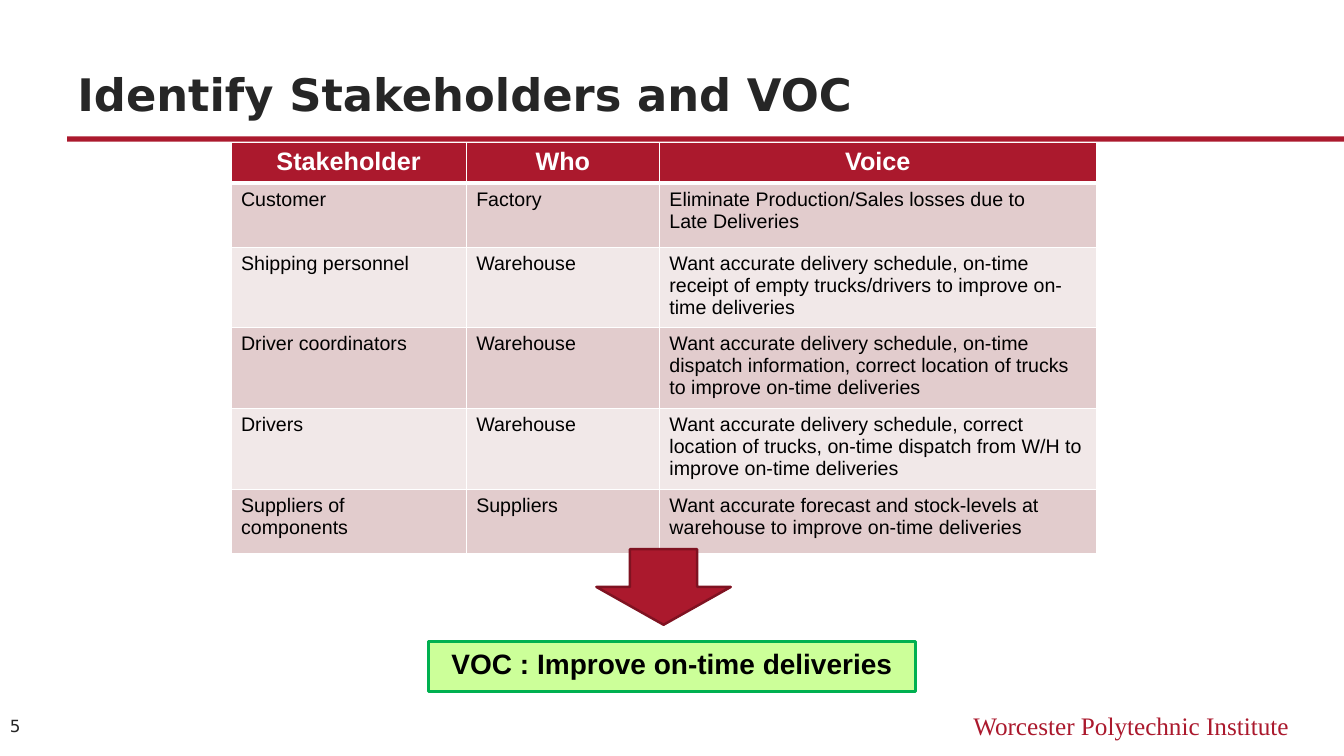
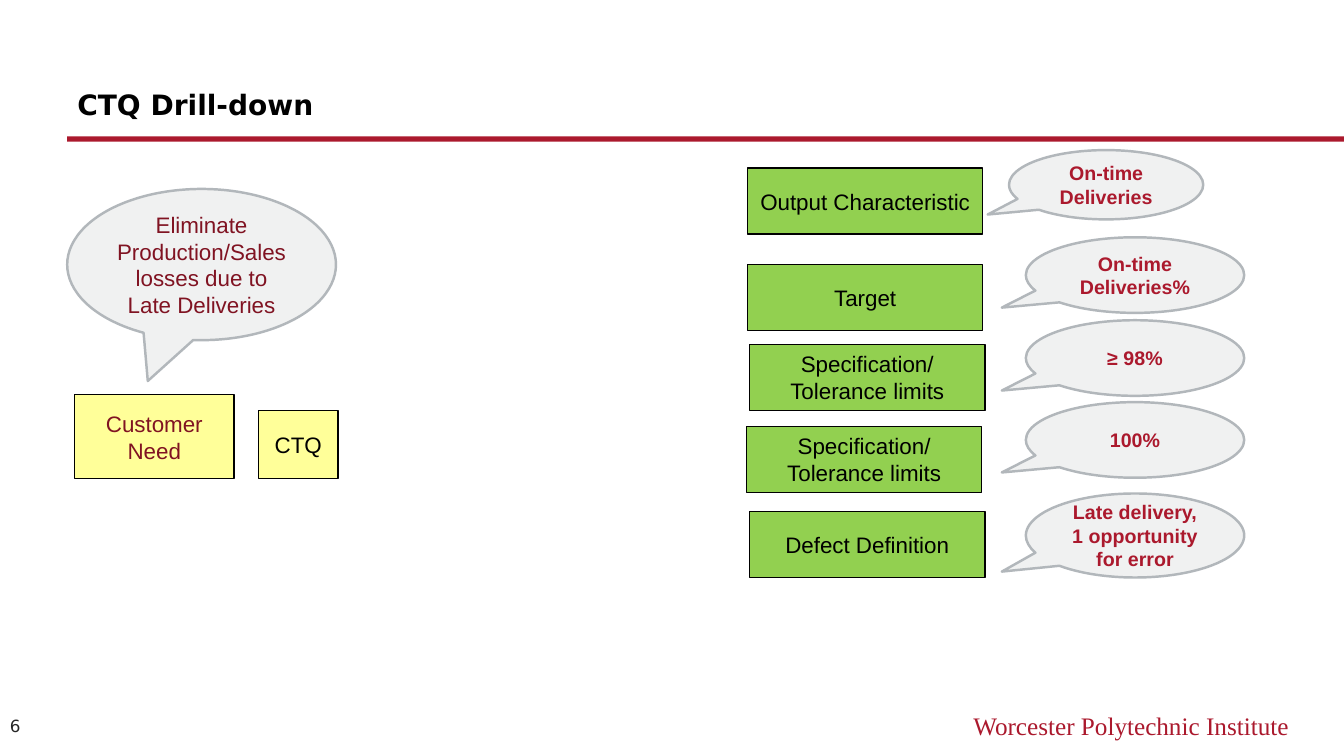
from lxml.etree import SubElement
from pptx import Presentation
from pptx.dml.color import RGBColor
from pptx.enum.shapes import MSO_SHAPE
from pptx.enum.text import MSO_ANCHOR, MSO_AUTO_SIZE, PP_ALIGN
from pptx.oxml import parse_xml
from pptx.oxml.ns import nsdecls, qn
from pptx.util import Pt

PX = 9525  # EMU in one px, 96 px to the inch

CRIMSON = RGBColor(0xAB, 0x19, 0x2D)
DARK_CRIMSON = RGBColor(0x7F, 0x12, 0x21)
WINE = RGBColor(0x80, 0x13, 0x22)
CHARCOAL = RGBColor(0x26, 0x26, 0x26)
BLACK = RGBColor(0, 0, 0)
WHITE = RGBColor(0xFF, 0xFF, 0xFF)
ROW_FILLS = (RGBColor(0xE2, 0xCC, 0xCD), RGBColor(0xF1, 0xE8, 0xE8))
LIME = RGBColor(0xCC, 0xFF, 0x99)
EMERALD = RGBColor(0x00, 0xB0, 0x50)
GREEN = RGBColor(0x92, 0xD0, 0x50)
YELLOW = RGBColor(0xFF, 0xFF, 0x99)
PALE_GREY = RGBColor(0xF0, 0xF1, 0xF1)
GREY = RGBColor(0xB2, 0xB7, 0xBB)

TITLE_FONT = "DejaVu Sans"
BODY_FONT = "Arial"
FOOTER_FONT = "Times New Roman"

STAKEHOLDERS = [
    ("Stakeholder", "Who", "Voice"),
    ("Customer", "Factory",
     "Eliminate Production/Sales losses due to\nLate Deliveries"),
    ("Shipping personnel", "Warehouse",
     "Want accurate delivery schedule, on-time receipt of empty "
     "trucks/drivers to improve on-time deliveries"),
    ("Driver coordinators", "Warehouse",
     "Want accurate delivery schedule, on-time dispatch information, "
     "correct location of trucks to improve on-time deliveries"),
    ("Drivers", "Warehouse",
     "Want accurate delivery schedule, correct location of trucks, "
     "on-time dispatch from W/H to improve on-time deliveries"),
    ("Suppliers of components", "Suppliers",
     "Want accurate forecast and stock-levels at warehouse to improve "
     "on-time deliveries"),
]
COLUMN_WIDTHS = (224, 184, 416)
HEADER_HEIGHT, ROW_HEIGHT = 37, 61

# Each step: label, its left and top, callout text, callout box
CTQ_STEPS = [
    ("Output Characteristic", 712, 160, "On-time Deliveries", (961, 143, 185, 66)),
    ("Target", 712, 252, "On-time Deliveries%", (977, 226, 208, 72)),
    ("Specification/\nTolerance limits", 714, 328, "≥ 98%", (977, 305, 208, 72)),
    ("Specification/\nTolerance limits", 711, 406, "100%", (977, 383, 208, 72)),
    ("Defect Definition", 714, 487, "Late delivery,\n1 opportunity for error",
     (977, 470, 208, 80)),
]


def emu(*lengths):
    return [length * PX for length in lengths]


def write(frame, text, size, color, font=BODY_FONT, bold=False,
          align=PP_ALIGN.LEFT):
    frame.text = text
    for para in frame.paragraphs:
        para.alignment = align
        para.font.name = font
        para.font.size = Pt(size)
        para.font.bold = bold
        para.font.color.rgb = color


def add_text(page, at, text, size, color, font, align=PP_ALIGN.LEFT,
             anchor=MSO_ANCHOR.TOP):
    box = page.shapes.add_textbox(*emu(*at))
    box.text_frame.word_wrap = True
    box.text_frame.vertical_anchor = anchor
    write(box.text_frame, text, size, color, font, align=align)
    return box


def add_filled(page, kind, at, fill, line=None, weight=1):
    shape = page.shapes.add_shape(kind, *emu(*at))
    shape.shadow.inherit = False
    shape.fill.solid()
    shape.fill.fore_color.rgb = fill
    if line is None:
        shape.line.fill.background()
    else:
        shape.line.color.rgb = line
        shape.line.width = Pt(weight)
    return shape


def add_box(page, at, text, fill, color=BLACK, size=16, bold=False, line=BLACK,
            weight=1, anchor=MSO_ANCHOR.MIDDLE):
    box = add_filled(page, MSO_SHAPE.RECTANGLE, at, fill, line, weight)
    box.text_frame.vertical_anchor = anchor
    write(box.text_frame, text, size, color, bold=bold, align=PP_ALIGN.CENTER)


def add_callout(page, at, text, tail, color=CRIMSON, size=14, bold=True):
    """Speech bubble; tail is its tip from the centre, in widths and heights."""
    bubble = add_filled(page, MSO_SHAPE.OVAL_CALLOUT, at, PALE_GREY, GREY, 1.75)
    bubble.adjustments[0], bubble.adjustments[1] = tail
    bubble.text_frame.vertical_anchor = MSO_ANCHOR.MIDDLE
    write(bubble.text_frame, text, size, color, bold=bold, align=PP_ALIGN.CENTER)


def set_borders(cell, top, bottom):
    properties = cell._tc.get_or_add_tcPr()
    widths = (("L", 1), ("R", 1), ("T", top), ("B", bottom))
    for index, (side, weight) in enumerate(widths):
        edge = parse_xml(f'<a:ln{side} {nsdecls("a")} w="{Pt(weight)}"/>')
        fill = SubElement(edge, qn("a:solidFill"))
        SubElement(fill, qn("a:srgbClr"), val=str(WHITE))
        properties.insert(index, edge)


def add_stakeholder_table(page, left, top):
    height = HEADER_HEIGHT + ROW_HEIGHT * (len(STAKEHOLDERS) - 1)
    table = page.shapes.add_table(
        len(STAKEHOLDERS), len(COLUMN_WIDTHS),
        *emu(left, top, sum(COLUMN_WIDTHS), height)).table
    for column, width in zip(table.columns, COLUMN_WIDTHS):
        column.width = width * PX
    for r, texts in enumerate(STAKEHOLDERS):
        header = r == 0
        table.rows[r].height = (HEADER_HEIGHT if header else ROW_HEIGHT) * PX
        for c, text in enumerate(texts):
            cell = table.cell(r, c)
            cell.fill.solid()
            if header:
                cell.fill.fore_color.rgb = CRIMSON
                write(cell.text_frame, text, 18, WHITE, bold=True,
                      align=PP_ALIGN.CENTER)
            else:
                cell.fill.fore_color.rgb = ROW_FILLS[(r - 1) % 2]
                write(cell.text_frame, text, 14, BLACK)
            set_borders(cell, top=3 if r == 1 else 1, bottom=3 if header else 1)


def style_layout(layout, page):
    """Give the layout its title place, rule and footer, drawn first on page."""
    title = next(item for item in layout.placeholders
                 if item.placeholder_format.idx == 0)
    title.left, title.top, title.width, title.height = emu(64, 36, 1152, 84)
    rule = add_filled(page, MSO_SHAPE.RECTANGLE, (64, 130, 1216, 5), CRIMSON)
    footer = add_text(page, (768, 672, 469, 38), "Worcester Polytechnic Institute",
                      18, CRIMSON, FOOTER_FONT, PP_ALIGN.RIGHT)
    for shape in (rule, footer):
        layout.shapes.element.append(shape.element)


def add_title_and_number(page, title, size, color, number):
    frame = page.shapes.title.text_frame
    frame.auto_size = MSO_AUTO_SIZE.NONE
    frame.vertical_anchor = MSO_ANCHOR.BOTTOM
    write(frame, title, size, color, TITLE_FONT, bold=True)
    add_text(page, (0, 671, 64, 41), str(number), 12, CHARCOAL, TITLE_FONT,
             anchor=MSO_ANCHOR.MIDDLE)


def build_stakeholders(page):
    add_title_and_number(page, "Identify Stakeholders and VOC", 32, CHARCOAL, 5)
    add_stakeholder_table(page, 220, 136)
    add_filled(page, MSO_SHAPE.DOWN_ARROW, (568, 523, 128, 72), CRIMSON,
               DARK_CRIMSON, 1.75)
    add_box(page, (408, 611, 464, 48), "VOC : Improve on-time deliveries", LIME,
            size=20, bold=True, line=EMERALD, weight=2.25, anchor=MSO_ANCHOR.TOP)


def build_drill_down(page):
    add_title_and_number(page, "CTQ Drill-down", 20, BLACK, 6)
    add_callout(page, (64, 180, 256, 144),
                "Eliminate Production/Sales losses due to\nLate Deliveries",
                (-0.2, 0.77), WINE, 16, bold=False)
    add_box(page, (71, 376, 152, 80), "Customer\nNeed", YELLOW, WINE)
    add_box(page, (246, 391, 76, 65), "CTQ", YELLOW)
    for label, left, top, answer, bubble_at in CTQ_STEPS:
        add_box(page, (left, top, 224, 63), label, GREEN)
        add_callout(page, bubble_at, answer, (-0.61, 0.43))


def main():
    deck = Presentation()
    deck.slide_width, deck.slide_height = emu(1280, 720)
    layout = deck.slide_layouts.get_by_name("Title Only")
    stakeholders = deck.slides.add_slide(layout)
    style_layout(layout, stakeholders)
    build_stakeholders(stakeholders)
    build_drill_down(deck.slides.add_slide(layout))
    deck.save("out.pptx")


if __name__ == "__main__":
    main()
